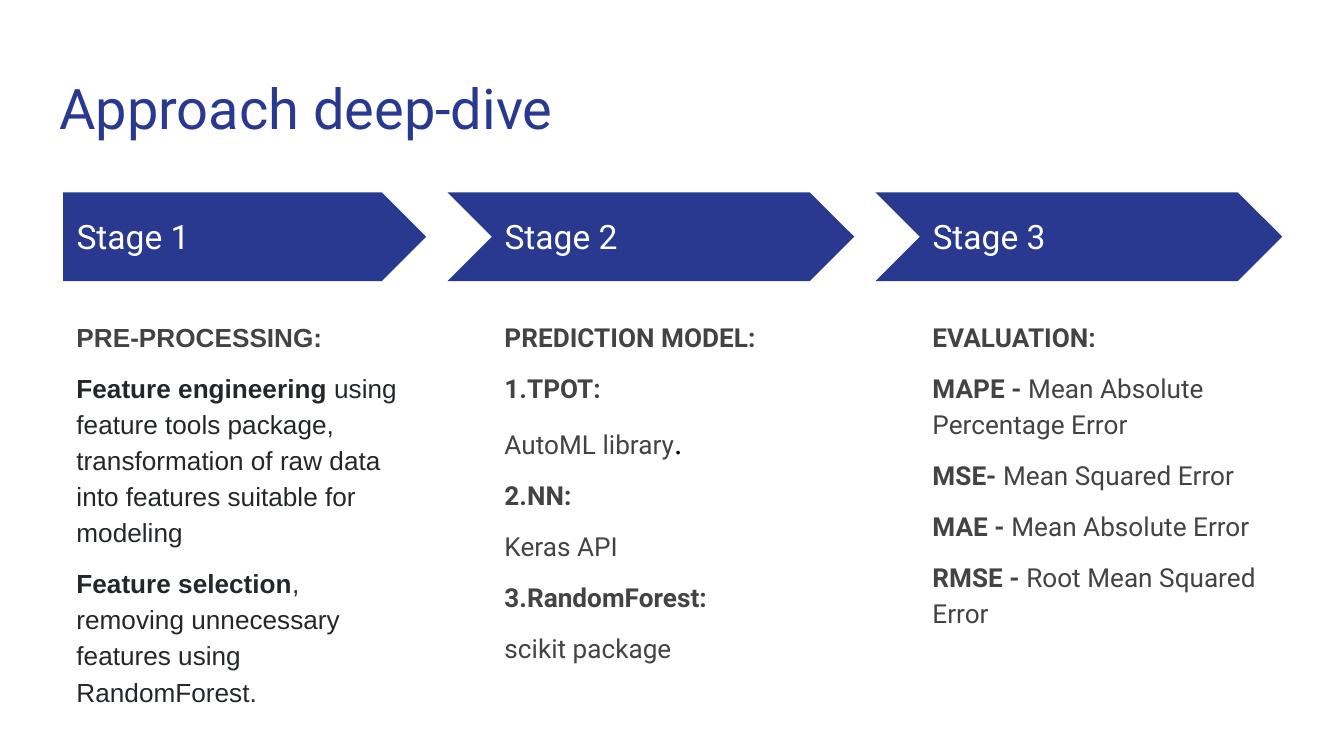
"""Build the "Approach deep-dive" slide: three stage arrows, each with its notes below."""
from pptx import Presentation
from pptx.dml.color import RGBColor
from pptx.enum import shapes, text
from pptx.util import Pt

NAVY, GREY, INK, WHITE, BLACK = "2A3990", "434343", "242729", "FFFFFF", "000000"
SANS, SERIF, BODY = "Roboto", "TeX Gyre Schola", "Arial"


def set_frame(frame, anchor):
    frame.word_wrap = True
    frame.auto_size = text.MSO_AUTO_SIZE.NONE
    frame.vertical_anchor = anchor
    frame.margin_left = frame.margin_right = Pt(7.2)
    frame.margin_top = frame.margin_bottom = Pt(7.2)


def add_run(paragraph, words, size, color, bold=False, face=SANS):
    paragraph.alignment = text.PP_ALIGN.LEFT
    run = paragraph.add_run()
    run.text = words
    run.font.size = Pt(size)
    run.font.name = face
    run.font.bold = bold
    run.font.color.rgb = RGBColor.from_string(color)


deck = Presentation()
deck.slide_width, deck.slide_height = Pt(720), Pt(405)
slide = deck.slides.add_slide(deck.slide_layouts[5])

heading = slide.shapes.title
heading.left, heading.top, heading.width, heading.height = Pt(24.5), Pt(32.4), Pt(671), Pt(47.5)
set_frame(heading.text_frame, text.MSO_ANCHOR.TOP)
add_run(heading.text_frame.paragraphs[0], "Approach deep-dive", 30, NAVY)

bold, plain = (14, GREY, True), (14, GREY, False)
strong, detail = (14, INK, True, BODY), (14, INK, False, BODY)
stages = [
    ("Stage 1", [
        [("PRE-PROCESSING:", *bold, BODY)],
        [("Feature engineering ", *strong),
         ("using feature tools package, transformation of raw data "
          "into features suitable for modeling", *detail)],
        [("Feature selection", *strong),
         (", removing unnecessary features using RandomForest.", *detail)],
    ]),
    ("Stage 2", [
        [("PREDICTION MODEL:", *bold)],
        [("1.TPOT:", *bold)],
        [("AutoML library", *plain), (".", 16, BLACK, False, SERIF)],
        [("2.NN:", *bold)],
        [("Keras API", *plain)],
        [("3.RandomForest:", *bold)],
        [("scikit package", *plain)],
    ]),
    ("Stage 3", [
        [("EVALUATION:", *bold)],
        [("MAPE - ", *bold), ("Mean Absolute Percentage Error", *plain)],
        [("MSE- ", *bold), ("Mean Squared Error", *plain)],
        [("MAE - ", *bold), ("Mean Absolute Error", *plain)],
        [("RMSE - ", *bold), ("Root Mean Squared Error", *plain)],
    ]),
]

left, step, column_width = 33.9, 229.3, 194.4
for index, (stage, notes) in enumerate(stages):
    column = left + index * step
    notch = 23.5 if index else 0
    outline = shapes.MSO_SHAPE.CHEVRON if index else shapes.MSO_SHAPE.PENTAGON
    arrow = slide.shapes.add_shape(
        outline, Pt(column - notch), Pt(103), Pt(column_width + notch), Pt(47.6))
    arrow.adjustments[0] = 0.5
    arrow.shadow.inherit = False
    arrow.fill.solid()
    arrow.fill.fore_color.rgb = RGBColor.from_string(NAVY)
    arrow.line.fill.background()

    label = slide.shapes.add_textbox(Pt(column), Pt(114.5), Pt(178), Pt(24.5)).text_frame
    set_frame(label, text.MSO_ANCHOR.MIDDLE)
    add_run(label.paragraphs[0], stage, 18, WHITE)

    details = slide.shapes.add_textbox(
        Pt(column), Pt(162.7), Pt(column_width), Pt(208.8)).text_frame
    set_frame(details, text.MSO_ANCHOR.TOP)
    for row, runs in enumerate(notes):
        paragraph = details.add_paragraph() if row else details.paragraphs[0]
        paragraph.line_spacing = 1.15
        paragraph.space_before = Pt(8 if row else 0)
        for run in runs:
            add_run(paragraph, *run)

deck.save("out.pptx")
